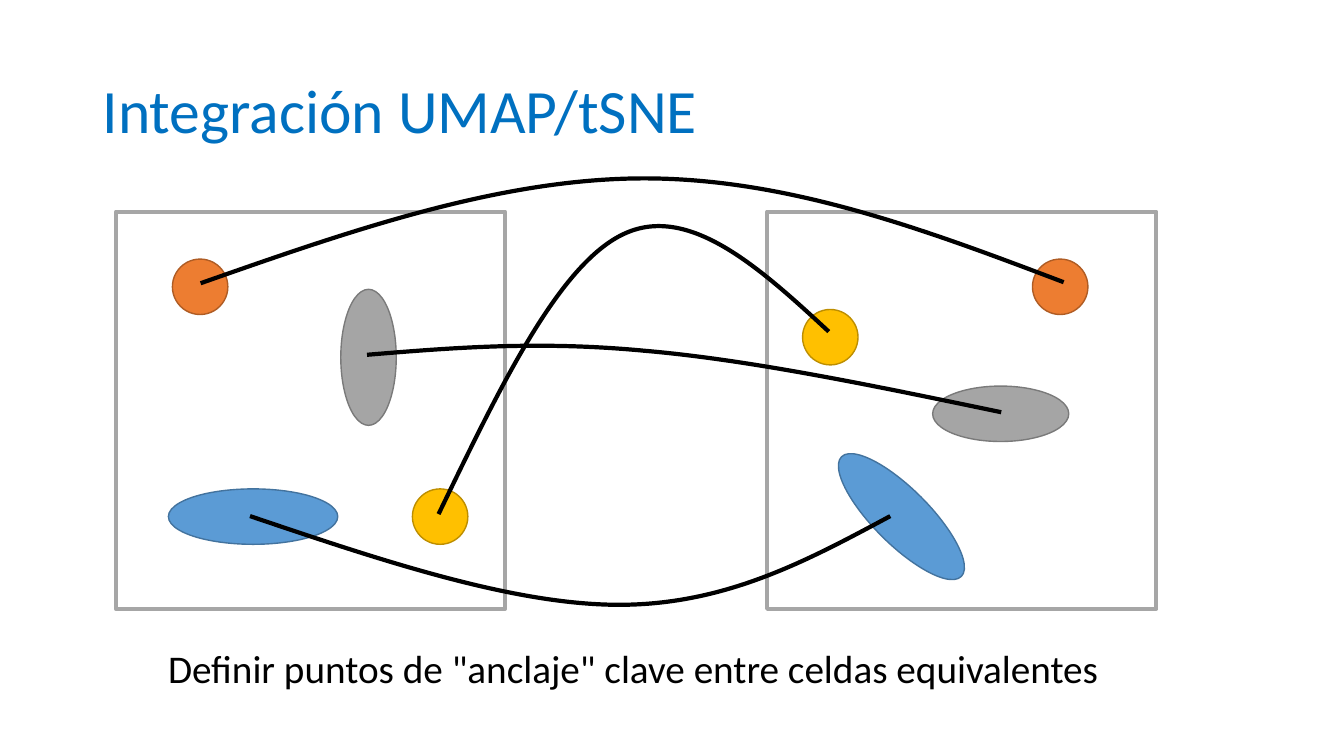
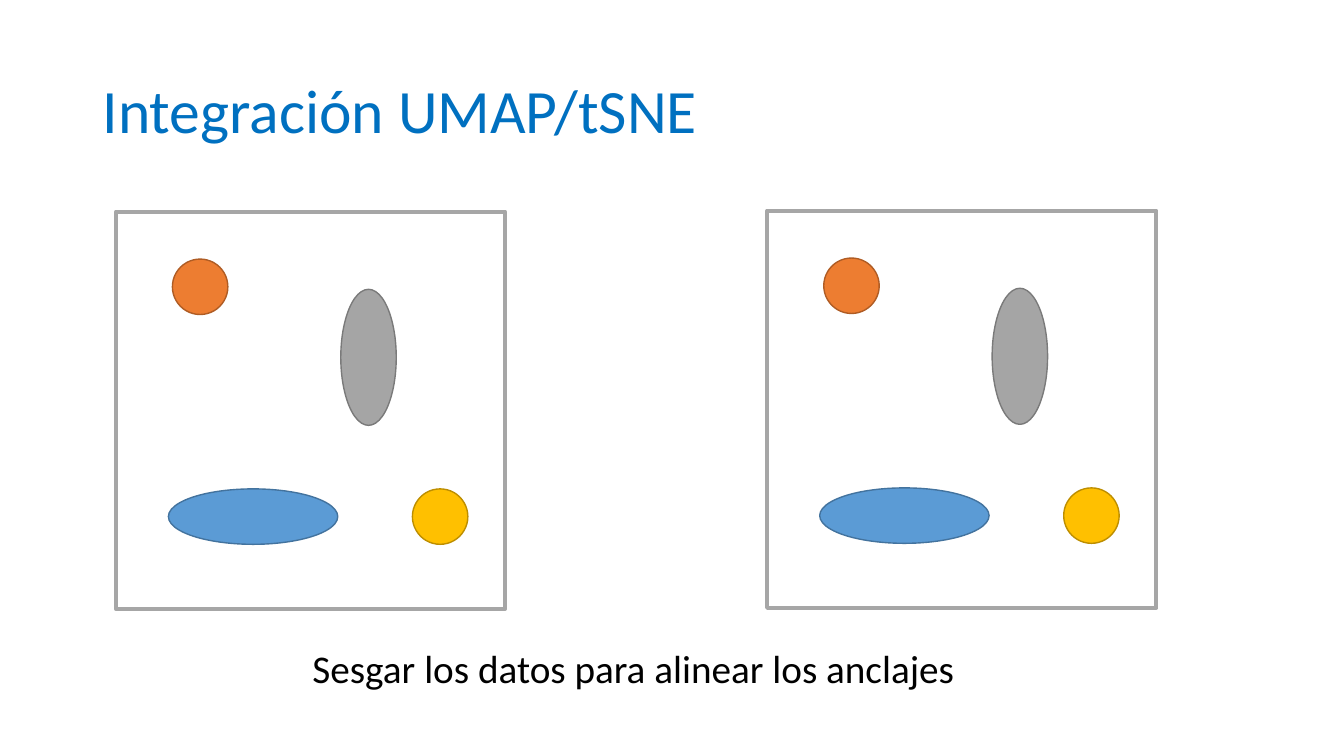
from dataclasses import dataclass
from itertools import chain
from typing import Union

from pptx import Presentation
from pptx.dml.color import RGBColor as Rgb
from pptx.enum.shapes import MSO_SHAPE as Kind
from pptx.enum.text import MSO_ANCHOR as Anchor, PP_ALIGN as Align
from pptx.oxml.ns import qn
from pptx.oxml.xmlchemy import OxmlElement as Node
from pptx.shapes.autoshape import Shape
from pptx.shapes.shapetree import GroupShapes, SlideShapes
from pptx.slide import Slide
from pptx.util import Inches, Pt

Shapes = Union[SlideShapes, GroupShapes]
Point = tuple[float, float]

# Shared style
FONT = "Calibri"
COLORS = {
    "title": "0070C0", "text": "000000", "link": "000000",
    "panel": "FFFFFF", "panel edge": "A6A6A6",
    "orange": "ED7D31", "orange edge": "AF5C24",
    "gray": "A5A5A5", "gray edge": "7A7A7A",
    "blue": "5B9BD5", "blue edge": "43739E",
    "gold": "FFC000", "gold edge": "BD8E00",
}
TITLE = "Integración UMAP/tSNE"
DOT, TALL, WIDE = 0.55, 1.35, 1.68
SHIFT = 6.46  # from left panel to right panel


@dataclass(frozen=True)
class Item:
    hue: str
    x: float
    y: float
    w: float = DOT
    h: float = DOT
    turn: float = 0


@dataclass(frozen=True)
class Curve:
    """Start point, then two handles and an end for each cubic segment."""
    start: Point
    steps: list[tuple[Point, Point, Point]]


FRAME = Item("panel", 1.15, 2.1, 3.86, 3.94)

# Cell clusters, as found on the left and, before alignment, on the right
LEFT = [
    Item("orange", 1.71, 2.57),
    Item("gray", 3.38, 2.87, h=TALL),
    Item("blue", 1.67, 4.85, w=WIDE),
    Item("gold", 4.09, 4.85),
]
RIGHT = [
    Item("orange", 10.24, 2.57),
    Item("gray", 9.65, 3.43, h=TALL, turn=270),
    Item("blue", 8.1, 4.85, w=WIDE, turn=45),
    Item("gold", 7.96, 3.07),
]

# Links between matching clusters
LINKS = [
    Curve((1.99, 2.81), [((3.47, 2.29), (4.96, 1.77), (6.39, 1.77)),
                         ((7.82, 1.77), (9.18, 2.28), (10.55, 2.8))]),
    Curve((3.64, 3.52), [((4.49, 3.45), (5.34, 3.38), (6.39, 3.48)),
                         ((7.44, 3.57), (8.68, 3.83), (9.93, 4.09))]),
    Curve((4.35, 5.1), [((4.95, 3.86), (5.54, 2.62), (6.19, 2.32)),
                        ((6.83, 2.02), (7.53, 2.65), (8.22, 3.29))]),
    Curve((2.48, 5.12), [((3.78, 5.56), (5.09, 6), (6.14, 6)),
                         ((7.2, 6), (8.01, 5.56), (8.83, 5.12))]),
]


def set_line(shape: Shape, hue: str, width: float) -> None:
    shape.shadow.inherit = False
    shape.line.color.rgb = Rgb.from_string(COLORS[hue])
    shape.line.width = Pt(width)


def add_item(shapes: Shapes, item: Item, kind: Kind, width: float,
             dx: float = 0, dy: float = 0) -> None:
    shape = shapes.add_shape(kind, Inches(item.x + dx), Inches(item.y + dy),
                             Inches(item.w), Inches(item.h))
    shape.rotation = item.turn
    shape.fill.solid()
    shape.fill.fore_color.rgb = Rgb.from_string(COLORS[item.hue])
    set_line(shape, f"{item.hue} edge", width)


def add_frame(shapes: Shapes, dx: float = 0, dy: float = 0) -> None:
    add_item(shapes, FRAME, Kind.RECTANGLE, 3, dx, dy)


def add_cells(shapes: Shapes, items: list[Item],
              dx: float = 0, dy: float = 0) -> None:
    for item in items:
        add_item(shapes, item, Kind.OVAL, 1, dx, dy)


def add_curve(shapes: Shapes, curve: Curve) -> None:
    start, *rest = [(Inches(x), Inches(y))
                    for x, y in [curve.start, *chain(*curve.steps)]]
    form = shapes.build_freeform(*start)
    form.add_line_segments(rest, close=False)
    shape = form.convert_to_shape()
    shape.fill.background()
    set_line(shape, "link", 3)
    # Each three straight segments become one cubic segment
    lines = list(shape._element.iter(qn("a:lnTo")))
    for i in range(0, len(lines), 3):
        bend = Node("a:cubicBezTo")
        lines[i].addprevious(bend)
        for line in lines[i:i + 3]:
            bend.append(line[0])
            line.getparent().remove(line)


def add_text(slide: Slide, text: str, box: tuple[float, ...], size: float,
             hue: str, anchor: Anchor, align: Align) -> None:
    frame = slide.shapes.add_textbox(*map(Inches, box)).text_frame
    frame.word_wrap = True
    frame.vertical_anchor = anchor
    para = frame.paragraphs[0]
    para.text = text
    para.alignment = align
    para.line_spacing = 0.9
    para.font.name = FONT
    para.font.size = Pt(size)
    para.font.color.rgb = Rgb.from_string(COLORS[hue])


def add_slide(deck: Presentation, note: str) -> Slide:
    slide = deck.slides.add_slide(deck.slide_layouts[6])
    add_text(slide, TITLE, (0.92, 0.4, 11.5, 1.45), 44, "title",
             Anchor.MIDDLE, Align.LEFT)
    add_text(slide, note, (0.28, 6.4, 12, 0.93), 28, "text",
             Anchor.TOP, Align.CENTER)
    return slide


def main() -> None:
    deck = Presentation()
    deck.slide_width, deck.slide_height = Inches(13.33), Inches(7.5)

    # Anchors: link matching clusters
    shapes = add_slide(
        deck, 'Definir puntos de "anclaje" clave entre celdas equivalentes'
    ).shapes
    for dx in (0, SHIFT):
        add_frame(shapes, dx)
    add_cells(shapes, LEFT + RIGHT)
    for curve in LINKS:
        add_curve(shapes, curve)

    # Alignment: both panels agree
    slide = add_slide(deck, "Sesgar los datos para alinear los anclajes")
    for dx, dy in ((0, 0), (SHIFT, -0.01)):
        group = slide.shapes.add_group_shape().shapes
        add_frame(group, dx, dy)
        add_cells(group, LEFT, dx, dy)

    deck.save("out.pptx")


if __name__ == "__main__":
    main()
